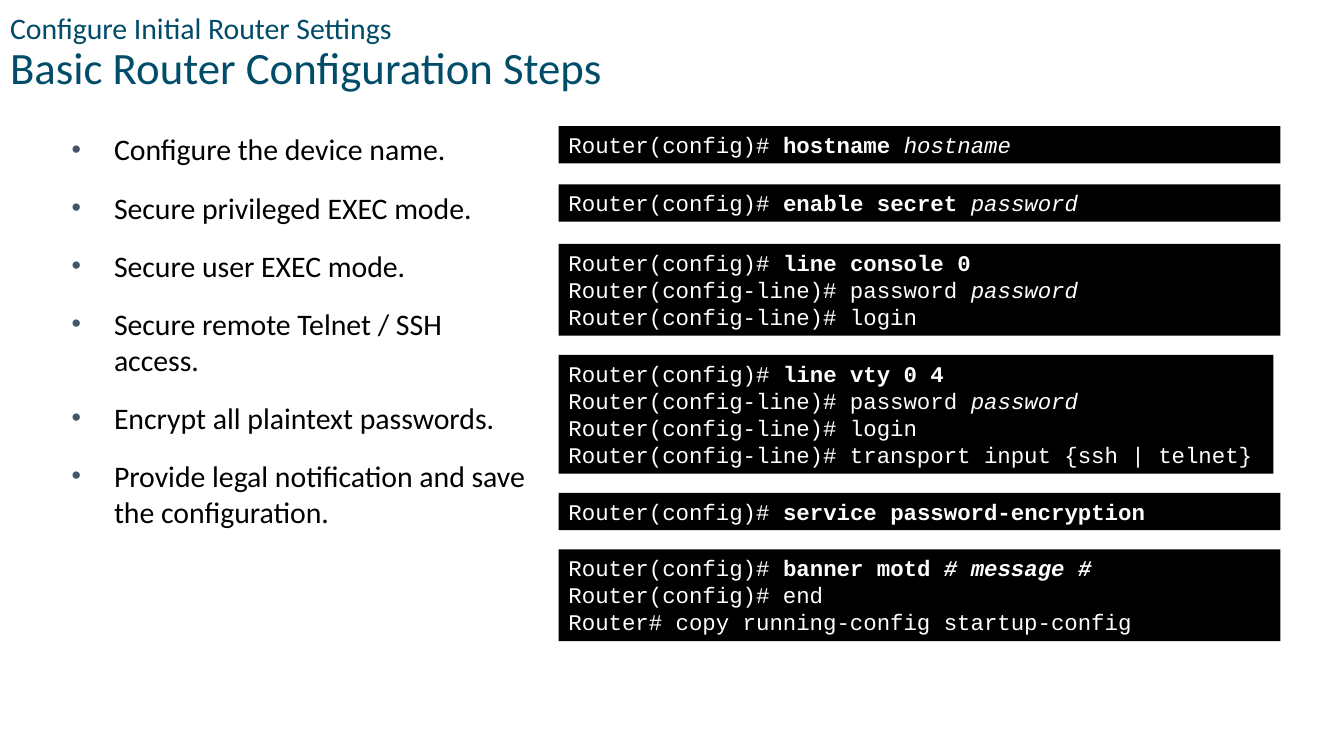
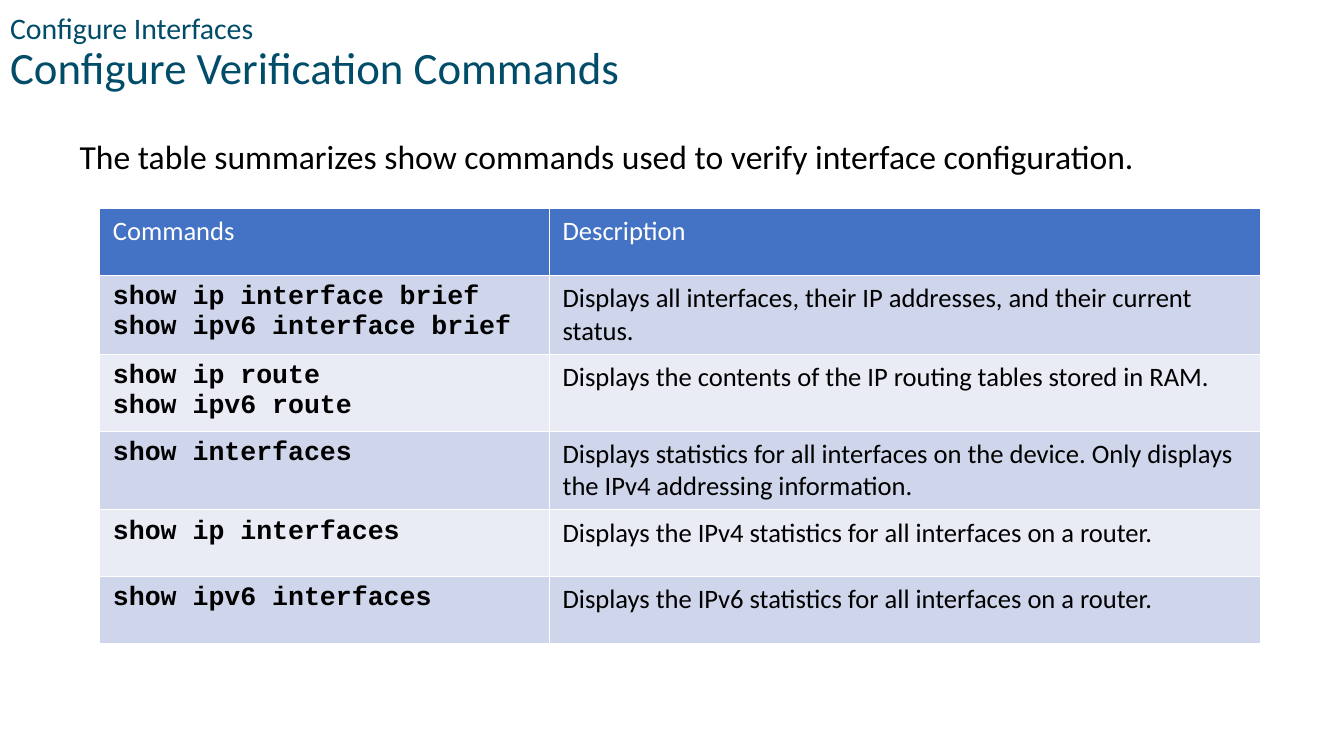
from dataclasses import dataclass
from typing import NamedTuple

from lxml import etree
from pptx import Presentation
from pptx.dml.color import RGBColor
from pptx.enum.shapes import MSO_SHAPE
from pptx.enum.text import MSO_ANCHOR, MSO_AUTO_SIZE, PP_ALIGN
from pptx.oxml.ns import qn
from pptx.util import Inches, Pt

RECTANGLE = MSO_SHAPE.RECTANGLE
TOP, MIDDLE = MSO_ANCHOR.TOP, MSO_ANCHOR.MIDDLE
NO_AUTOFIT = MSO_AUTO_SIZE.NONE
LEFT = PP_ALIGN.LEFT

SLIDE_WIDTH, SLIDE_HEIGHT = Inches(13.33), Inches(7.5)
TITLE_AND_CONTENT, TITLE_ONLY = 1, 5

# Shared look
COLORS = {
    "title": "004C69",
    "text": "000000",
    "bullet": "44546A",
    "panel": "000000",
    "light": "FFFFFF",
    "header": "4472C4",
    "odd_row": "CFD5EA",
    "even_row": "E9EBF5",
}
BODY_FONT, CODE_FONT = "Calibri", "Courier New"
TOPIC = {"name": BODY_FONT, "size": Pt(21.3), "color": "title"}
TITLE = TOPIC | {"size": Pt(32)}
BULLET_TEXT = TOPIC | {"color": "text"}
CAPTION = BULLET_TEXT | {"size": Pt(24)}
CODE = {"name": CODE_FONT, "size": Pt(16), "color": "light"}
HEADER_CELL = {"name": BODY_FONT, "size": Pt(19), "bold": False, "color": "light"}
DESCRIPTION_CELL = HEADER_CELL | {"color": "text"}
COMMAND_CELL = DESCRIPTION_CELL | {"name": CODE_FONT, "bold": True}


class Box(NamedTuple):
    """Position and size in percent of the slide."""
    left: float
    top: float
    width: float
    height: float


class Piece(NamedTuple):
    text: str
    bold: bool = False
    italic: bool = False


@dataclass
class Panel:
    top: float
    lines: list[list[Piece]]
    width: float = 53.71


class CommandRow(NamedTuple):
    commands: list[str]
    description: str
    height: float


TITLE_BOX = Box(0, 0, 91.3, 14.27)
BULLET_BOX = Box(4.58, 16.67, 35.71, 68.4)
CAPTION_BOX = Box(5.18, 17.33, 88.52, 6.67)
TABLE_BOX = Box(7.43, 27.6, 86.35, 57.15)
PANEL_LEFT, PANEL_PADDING, PANEL_LINE = 41.56, 1.33, 3.6
COLUMN_WIDTHS = (33.46, 52.89)
SHORT_ROW, TALL_ROW = 8.85, 10.2

# Slide content
STEPS = [
    "Configure the device name.",
    "Secure privileged EXEC mode.",
    "Secure user EXEC mode.",
    "Secure remote Telnet / SSH access.",
    "Encrypt all plaintext passwords.",
    "Provide legal notification and save the configuration.",
]
CONFIG = Piece("Router(config)# ")
PASSWORD_LINE = [Piece("Router(config-line)# password "), Piece("password", italic=True)]
LOGIN_LINE = [Piece("Router(config-line)# login")]
PANELS = [
    Panel(16.67, [[CONFIG, Piece("hostname ", bold=True), Piece("hostname", italic=True)]]),
    Panel(24.4, [[CONFIG, Piece("enable secret ", bold=True), Piece("password", italic=True)]]),
    Panel(32.27, [[CONFIG, Piece("line console 0", bold=True)], PASSWORD_LINE, LOGIN_LINE]),
    Panel(46.93, [
        [CONFIG, Piece("line vty 0 4", bold=True)],
        PASSWORD_LINE,
        LOGIN_LINE,
        [Piece("Router(config-line)# transport input {ssh | telnet}")],
    ], width=53.19),
    Panel(65.2, [[CONFIG, Piece("service password-encryption", bold=True)]]),
    Panel(72.67, [
        [CONFIG, Piece("banner motd ", bold=True), Piece("# message #", bold=True, italic=True)],
        [Piece("Router(config)# end")],
        [Piece("Router# copy running-config startup-config")],
    ]),
]
CAPTION_TEXT = "The table summarizes show commands used to verify interface configuration."
HEADINGS = ("Commands", "Description")
COMMAND_ROWS = [
    CommandRow(["show ip interface brief", "show ipv6 interface brief"],
               "Displays all interfaces, their IP addresses, and their current status.", TALL_ROW),
    CommandRow(["show ip route", "show ipv6 route"],
               "Displays the contents of the IP routing tables stored in RAM.", TALL_ROW),
    CommandRow(["show interfaces"],
               "Displays statistics for all interfaces on the device. "
               "Only displays the IPv4 addressing information.", TALL_ROW),
    CommandRow(["show ip interfaces"],
               "Displays the IPv4 statistics for all interfaces on a router.", SHORT_ROW),
    CommandRow(["show ipv6 interfaces"],
               "Displays the IPv6 statistics for all interfaces on a router.", SHORT_ROW),
]


# Helpers
def across(percent: float) -> int:
    return round(SLIDE_WIDTH * percent / 100)


def down(percent: float) -> int:
    return round(SLIDE_HEIGHT * percent / 100)


def place(box: Box) -> tuple[int, int, int, int]:
    return across(box.left), down(box.top), across(box.width), down(box.height)


def move(shape, box: Box) -> None:
    shape.left, shape.top, shape.width, shape.height = place(box)


def color(name: str) -> RGBColor:
    return RGBColor.from_string(COLORS[name])


def format_font(font, formats: dict) -> None:
    for attribute, value in formats.items():
        if attribute == "color":
            font.color.rgb = color(value)
        else:
            setattr(font, attribute, value)


def add_run(paragraph, text: str, formats: dict) -> None:
    run = paragraph.add_run()
    run.text = text
    format_font(run.font, formats)


def paragraphs_for(text_frame, count: int) -> list:
    for _ in range(count - 1):
        text_frame.add_paragraph()
    return list(text_frame.paragraphs)


def set_frame(text_frame, anchor) -> None:
    formats = {"word_wrap": True, "auto_size": NO_AUTOFIT, "vertical_anchor": anchor}
    for attribute, value in formats.items():
        setattr(text_frame, attribute, value)


def add_bullet(paragraph) -> None:
    properties = paragraph._p.get_or_add_pPr()
    properties.set("marL", str(Inches(0.42)))
    properties.set("indent", str(-Inches(0.42)))
    bullet_color = etree.SubElement(properties, qn("a:buClr"))
    etree.SubElement(bullet_color, qn("a:srgbClr"), val=COLORS["bullet"])
    etree.SubElement(properties, qn("a:buSzPct"), val="90000")
    etree.SubElement(properties, qn("a:buFont"), typeface="Arial")
    etree.SubElement(properties, qn("a:buChar"), char="•")


# Slide parts
def add_titled_slide(presentation, layout: int, topic: str, title: str):
    slide = presentation.slides.add_slide(presentation.slide_layouts[layout])
    shape = slide.shapes.title
    move(shape, TITLE_BOX)
    set_frame(shape.text_frame, MIDDLE)
    paragraph = shape.text_frame.paragraphs[0]
    paragraph.alignment = LEFT
    paragraph.line_spacing = 0.9
    add_run(paragraph, topic, TOPIC)
    paragraph.add_line_break()
    add_run(paragraph, title, TITLE)
    return slide


def fill_bullets(shape, steps: list[str]) -> None:
    move(shape, BULLET_BOX)
    set_frame(shape.text_frame, TOP)
    paragraphs = paragraphs_for(shape.text_frame, len(steps))
    for index, (paragraph, step) in enumerate(zip(paragraphs, steps)):
        add_bullet(paragraph)
        paragraph.space_before = Pt(8 if index else 0)
        paragraph.space_after = Pt(8)
        add_run(paragraph, step, BULLET_TEXT)


def add_panel(slide, panel: Panel) -> None:
    height = PANEL_PADDING + PANEL_LINE * len(panel.lines)
    box = Box(PANEL_LEFT, panel.top, panel.width, height)
    shape = slide.shapes.add_shape(RECTANGLE, *place(box))
    shape.shadow.inherit = False
    shape.fill.solid()
    shape.fill.fore_color.rgb = color("panel")
    shape.line.fill.background()
    set_frame(shape.text_frame, TOP)
    for paragraph, line in zip(paragraphs_for(shape.text_frame, len(panel.lines)), panel.lines):
        paragraph.alignment = LEFT
        paragraph.line_spacing = Pt(19.3)
        for piece in line:
            add_run(paragraph, piece.text, CODE | {"bold": piece.bold, "italic": piece.italic})


def add_caption(slide, text: str) -> None:
    text_frame = slide.shapes.add_textbox(*place(CAPTION_BOX)).text_frame
    set_frame(text_frame, TOP)
    add_run(text_frame.paragraphs[0], text, CAPTION)


def fill_cell(cell, lines: list[str], formats: dict, fill: str) -> None:
    cell.fill.solid()
    cell.fill.fore_color.rgb = color(fill)
    cell.margin_left = cell.margin_right = Inches(0.13)
    cell.margin_top = cell.margin_bottom = Inches(0.07)
    for paragraph, line in zip(paragraphs_for(cell.text_frame, len(lines)), lines):
        add_run(paragraph, line, formats)


def add_command_table(slide) -> None:
    table = slide.shapes.add_table(
        len(COMMAND_ROWS) + 1, len(COLUMN_WIDTHS), *place(TABLE_BOX)).table
    for column, width in zip(table.columns, COLUMN_WIDTHS):
        column.width = across(width)
    table.rows[0].height = down(SHORT_ROW)
    for index, heading in enumerate(HEADINGS):
        fill_cell(table.cell(0, index), [heading], HEADER_CELL, "header")
    for index, row in enumerate(COMMAND_ROWS, start=1):
        fill = "odd_row" if index % 2 else "even_row"
        table.rows[index].height = down(row.height)
        fill_cell(table.cell(index, 0), row.commands, COMMAND_CELL, fill)
        fill_cell(table.cell(index, 1), [row.description], DESCRIPTION_CELL, fill)


def main() -> None:
    presentation = Presentation()
    presentation.slide_width, presentation.slide_height = SLIDE_WIDTH, SLIDE_HEIGHT

    # Configuration steps
    slide = add_titled_slide(presentation, TITLE_AND_CONTENT,
                             "Configure Initial Router Settings",
                             "Basic Router Configuration Steps")
    fill_bullets(slide.placeholders[1], STEPS)
    for panel in PANELS:
        add_panel(slide, panel)

    # Verification commands
    slide = add_titled_slide(presentation, TITLE_ONLY,
                             "Configure Interfaces",
                             "Configure Verification Commands")
    add_caption(slide, CAPTION_TEXT)
    add_command_table(slide)

    presentation.save("out.pptx")


if __name__ == "__main__":
    main()
